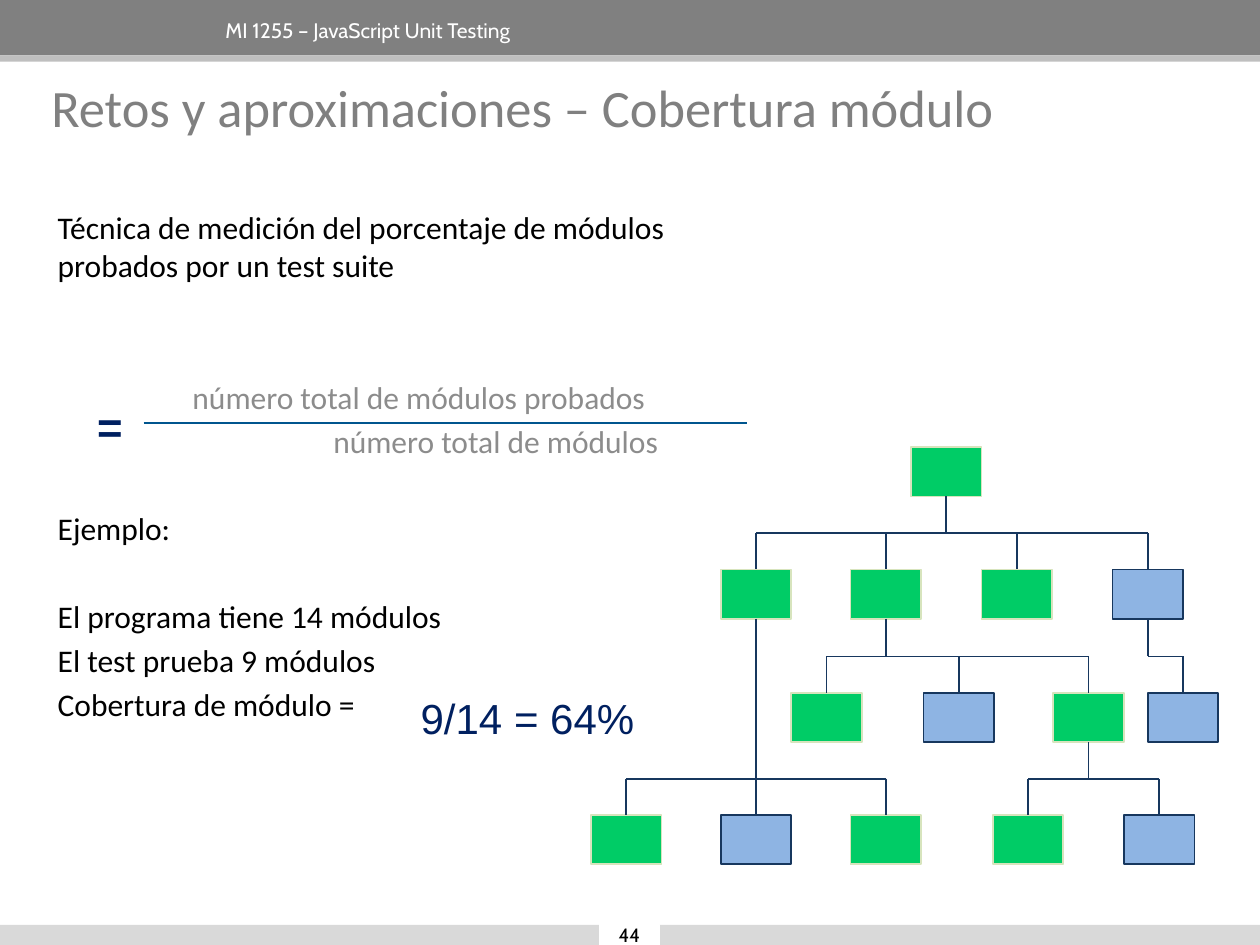
"""Build the module coverage slide with its formula and module tree."""
from dataclasses import dataclass

import pptx
import pptx.dml.color
import pptx.enum.shapes
import pptx.enum.text
import pptx.oxml
import pptx.oxml.ns
import pptx.util
from pptx.util import Inches


@dataclass(frozen=True)
class Theme:
    gray: str = "808080"
    mid: str = "BFBFBF"
    pale: str = "D9D9D9"
    soft: str = "8C8C8C"
    white: str = "FFFFFF"
    black: str = "000000"
    navy: str = "002060"
    rule: str = "00558E"
    edge: str = "17375E"
    blue: str = "8EB4E3"
    green: str = "00CC66"
    rim: str = "D7E4BD"
    title: int = 30
    body: int = 18
    equal: int = 25
    result: int = 24
    head: int = 12
    page: int = 11


theme = Theme()
rgb = pptx.dml.color.RGBColor.from_string
align = pptx.enum.text.PP_ALIGN
deck = pptx.Presentation()
deck.slide_width, deck.slide_height = Inches(10), Inches(7.5)
slide = deck.slides.add_slide(deck.slide_layouts[6])
shapes = slide.shapes


def write(text, place=None, frame=None, size=theme.body, font="Calibri",
          color=theme.black, bold=False, side=align.LEFT, before=0,
          indent=0, spacing=None, wrap=True):
    if frame is None:
        frame = shapes.add_textbox(*map(Inches, place)).text_frame
        frame.word_wrap = wrap
    para = frame.add_paragraph() if frame.text else frame.paragraphs[0]
    if indent:
        para._p.get_or_add_pPr().set("marL", str(Inches(indent)))
    para.text = text
    para.alignment = side
    para.space_before = pptx.util.Pt(before)
    if spacing:
        para.line_spacing = spacing
    para.font.size = pptx.util.Pt(size)
    para.font.name = font
    para.font.bold = bold
    para.font.color.rgb = rgb(color)
    return frame


def draw(place, fill=None, line=None, width=1):
    if fill:
        item = shapes.add_shape(pptx.enum.shapes.MSO_SHAPE.RECTANGLE, *map(Inches, place))
        item.shadow.inherit = False
        item.fill.solid()
        item.fill.fore_color.rgb = rgb(fill)
    else:
        item = shapes.add_connector(pptx.enum.shapes.MSO_CONNECTOR.STRAIGHT, *map(Inches, place))
        item._element.spPr.append(pptx.oxml.parse_xml(
            f'<a:effectLst {pptx.oxml.ns.nsdecls("a")}/>'))
    if line:
        item.line.color.rgb = rgb(line)
        item.line.width = pptx.util.Pt(width)
    else:
        item.line.fill.background()
    return item


for top, height, fill in ((0, 0.44, theme.gray), (0.44, 0.05, theme.mid), (7.34, 0.16, theme.pale)):
    draw((0, top, 10, height), fill)
write("MI 1255 – JavaScript Unit Testing", (1.69, 0.09, 7.11, 0.31),
      size=theme.head, font="Cabin", color=theme.white)
write("Retos y aproximaciones – Cobertura módulo", (0.31, 0.55, 9.53, 1),
      size=theme.title, color=theme.gray)

page = draw((4.76, 7.34, 0.47, 0.16), theme.white, theme.white, 0.75).text_frame
page.vertical_anchor = pptx.enum.text.MSO_ANCHOR.MIDDLE
page.margin_top = page.margin_bottom = 0
write("44", frame=page, size=theme.page, font="Cabin", side=align.CENTER)

body = write("Técnica de medición del porcentaje de módulos probados por un test suite",
             (0.36, 1.6, 5.43, 5.3))
for text, before, indent in (
    ("número total de módulos probados", 54, 0.5),
    ("número total de módulos", 3.5, 1.72),
    ("Ejemplo:", 28.5, 0),
    ("El programa tiene 14 módulos", 28.5, 0),
    ("El test prueba 9 módulos", 3.5, 0),
    ("Cobertura de módulo =", 3.5, 0),
):
    write(text, frame=body, before=before, indent=indent,
          color=theme.soft if indent else theme.black,
          side=align.CENTER if indent else align.LEFT)

equal = write("=", (0.7, 3.2, 0.35, 0.42), size=theme.equal, font="Arial",
              color=theme.navy, bold=True, spacing=0.87, wrap=False)
equal.margin_left = equal.margin_right = Inches(0.07)
equal.margin_top = equal.margin_bottom = Inches(0.03)
draw((1.14, 3.36, 5.93, 3.36), line=theme.rule)
write("9/14 = 64%", (3.24, 5.45, 2.18, 0.51), size=theme.result,
      font="Arial", color=theme.navy)

rows = (
    (3.55, ((7.23, True),)),
    (4.52, ((5.72, True), (6.75, True), (7.79, True), (8.83, False))),
    (5.5, ((6.28, True), (7.33, False), (8.36, True), (9.11, False))),
    (6.47, ((4.69, True), (5.72, False), (6.75, True), (7.88, True), (8.92, False))),
)
tree = []
for top, cells in rows:
    tree.append([draw((left, top, 0.56, 0.39),
                      theme.green if tested else theme.blue,
                      theme.rim if tested else theme.edge)
                 for left, tested in cells])

links = (
    (tree[0][0], tree[1]),
    (tree[1][1], tree[2][:3]),
    (tree[1][3], tree[2][3:]),
    (tree[1][0], tree[3][:3]),
    (tree[2][2], tree[3][3:]),
)
for parent, kids in links:
    bus = (kids[0].top - Inches(0.29)) / Inches(1)
    mids = [(box.left + box.width // 2) / Inches(1) for box in (parent, *kids)]
    draw((min(mids), bus, max(mids), bus), line=theme.edge)
    stem = draw((mids[0], bus, mids[0], bus), line=theme.edge)
    stem.begin_connect(parent, 2)
    for kid, mid in zip(kids, mids[1:]):
        drop = draw((mid, bus, mid, bus), line=theme.edge)
        drop.end_connect(kid, 0)

deck.save("out.pptx")
